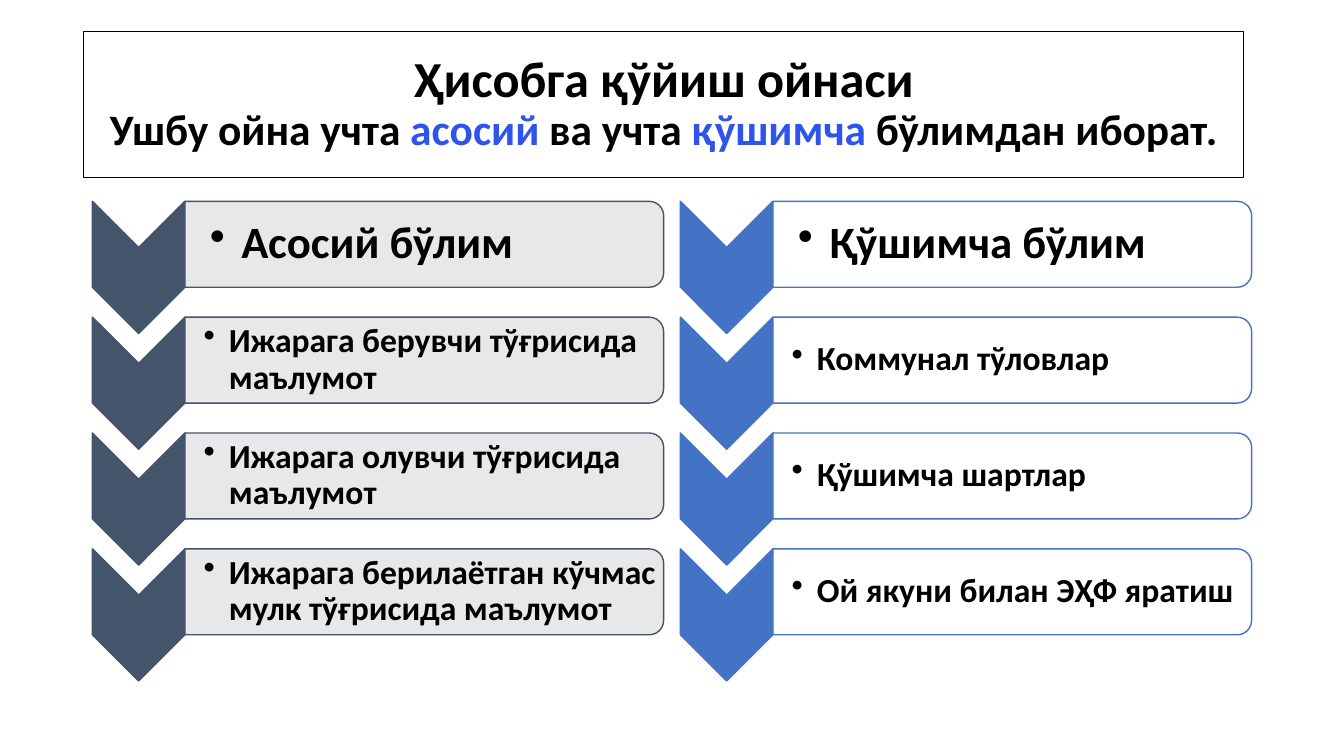
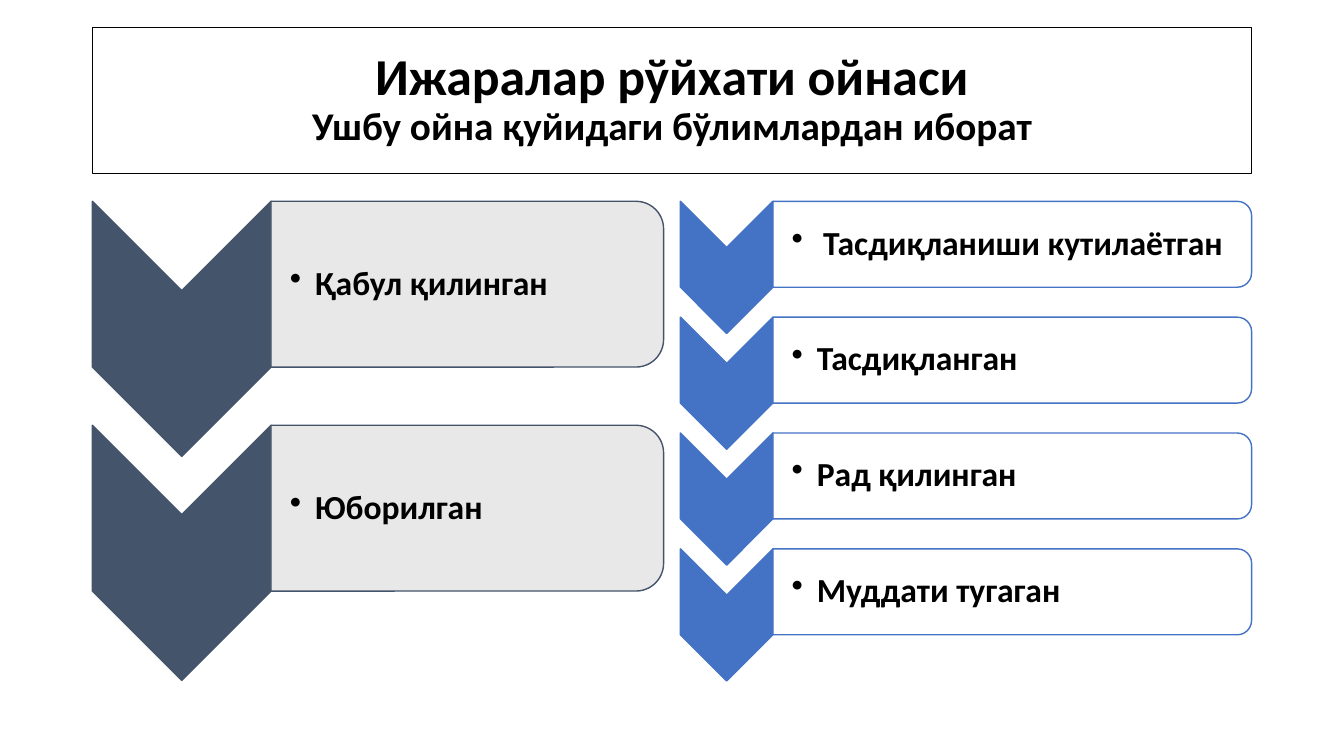
"""Build two slides that list the sections of the rental windows."""
from itertools import cycle

from lxml import etree
from pptx import Presentation
from pptx.dml.color import RGBColor
from pptx.enum import shapes, text
from pptx.oxml import ns
from pptx.util import Pt

COLORS = {
    "ink": "000000",
    "paper": "FFFFFF",
    "accent": "2F54EB",
    "navy": "44546A",
    "gray": "E7E6E6",
    "blue": "4472C4",
}
FONT = "Calibri"
TITLE_WIDTH, TITLE_HEIGHT = 828, 104.4
LIST_TOP, LIST_WIDTH = 143.8, 408
SMALL_STEP = {"height": 94.4, "pitch": 82.75}
LARGE_STEP = {"height": 182.2, "pitch": 160}
MAIN = {"left": 66, "dark": "navy", "light": "gray"}
EXTRA = {"left": 486, "dark": "blue", "light": "paper"}

SLIDES = [
    {
        "title_at": (60, 22.4),
        "title": [
            (36, ["Ҳисобга қўйиш ойнаси"]),
            (31, ["Ушбу ойна учта ", "асосий", " ва учта ", "қўшимча",
                  " бўлимдан иборат."]),
        ],
        "lists": [
            (MAIN, SMALL_STEP, [
                ("Асосий бўлим", 32, 22.5),
                ("Ижарага берувчи тўғрисида маълумот", 24, 18),
                ("Ижарага олувчи тўғрисида маълумот", 24, 18),
                ("Ижарага берилаётган кўчмас мулк тўғрисида маълумот", 24, 18),
            ]),
            (EXTRA, SMALL_STEP, [
                ("Қўшимча бўлим", 32, 22.5),
                ("Коммунал тўловлар", 24, 18),
                ("Қўшимча шартлар", 24, 18),
                ("Ой якуни билан ЭҲФ яратиш", 24, 18),
            ]),
        ],
    },
    {
        "title_at": (66, 19.4),
        "title": [
            (37, ["Ижаралар рўйхати ойнаси"]),
            (28, ["Ушбу ойна қуйидаги бўлимлардан иборат"]),
        ],
        "lists": [
            (MAIN, LARGE_STEP, [
                ("Қабул қилинган", 24, 18),
                ("Юборилган", 24, 18),
            ]),
            (EXTRA, SMALL_STEP, [
                ("Тасдиқланиши кутилаётган", 24, 22.5),
                ("Тасдиқланган", 24, 18),
                ("Рад қилинган", 24, 18),
                ("Муддати тугаган", 24, 18),
            ]),
        ],
    },
]


def add_filled(parent, kind, box, fill, line, line_width=1, turned=False):
    """Add a preset shape that covers box, optionally turned by 90 degrees."""
    left, top, width, height = box
    if turned:
        left, top = left + (width - height) / 2, top + (height - width) / 2
        width, height = height, width
    shape = parent.add_shape(kind, Pt(left), Pt(top), Pt(width), Pt(height))
    shape.rotation = 90 if turned else 0
    shape.shadow.inherit = False
    shape.fill.solid()
    shape.fill.fore_color.rgb = RGBColor.from_string(COLORS[fill])
    shape.line.color.rgb = RGBColor.from_string(COLORS[line])
    shape.line.width = Pt(line_width)
    return shape


def style_font(font, size, color="ink"):
    """Apply the bold lettering shared by all texts."""
    font.name, font.size, font.bold = FONT, Pt(size), True
    font.color.rgb = RGBColor.from_string(COLORS[color])


deck = Presentation()
deck.slide_width, deck.slide_height = Pt(960), Pt(540)

for content in SLIDES:
    slide = deck.slides.add_slide(deck.slide_layouts[6])

    title = add_filled(slide.shapes, shapes.MSO_SHAPE.RECTANGLE,
                       (*content["title_at"], TITLE_WIDTH, TITLE_HEIGHT),
                       "paper", "ink", 0.75)
    frame = title.text_frame
    frame.word_wrap = True
    frame.vertical_anchor = text.MSO_ANCHOR.MIDDLE
    frame.text = "\n".join("" for _ in content["title"])
    for paragraph, (size, pieces) in zip(frame.paragraphs, content["title"]):
        paragraph.alignment = text.PP_ALIGN.CENTER
        paragraph.line_spacing = 0.9
        for piece, color in zip(pieces, cycle(["ink", "accent"])):
            run = paragraph.add_run()
            run.text = piece
            style_font(run.font, size, color)

    for look, step, items in content["lists"]:
        group = slide.shapes.add_group_shape().shapes
        chevron_height = step["height"]
        chevron_width = 0.7 * chevron_height
        panel_left = look["left"] + chevron_width
        panel_width = LIST_WIDTH - chevron_width
        panel_height = 0.65 * chevron_height
        corner_inset = 0.05 * panel_height

        for row, (label, size, indent) in enumerate(items):
            top = LIST_TOP + row * step["pitch"]
            add_filled(group, shapes.MSO_SHAPE.CHEVRON,
                       (look["left"], top, chevron_width, chevron_height),
                       look["dark"], look["dark"], turned=True)
            panel = add_filled(group, shapes.MSO_SHAPE.ROUND_2_SAME_RECTANGLE,
                               (panel_left, top, panel_width, panel_height),
                               look["light"], look["dark"], turned=True)
            tint = panel.fill._xPr.find(ns.qn("a:solidFill"))[0]
            etree.SubElement(tint, ns.qn("a:alpha"), val="90000")

            caption = group.add_textbox(
                Pt(panel_left), Pt(top + corner_inset),
                Pt(panel_width - corner_inset),
                Pt(panel_height - 2 * corner_inset)).text_frame
            caption.word_wrap = True
            caption.vertical_anchor = text.MSO_ANCHOR.MIDDLE
            caption.margin_left = Pt(0.56 * size)
            caption.margin_top = caption.margin_right = caption.margin_bottom = Pt(1.2)
            caption.text = label
            paragraph = caption.paragraphs[0]
            paragraph.line_spacing = 0.9
            properties = paragraph._p.get_or_add_pPr()
            properties.set("marL", str(Pt(indent)))
            properties.set("indent", str(-Pt(indent)))
            etree.SubElement(properties, ns.qn("a:buChar"), char="•")
            style_font(paragraph.runs[0].font, size)

deck.save("out.pptx")
